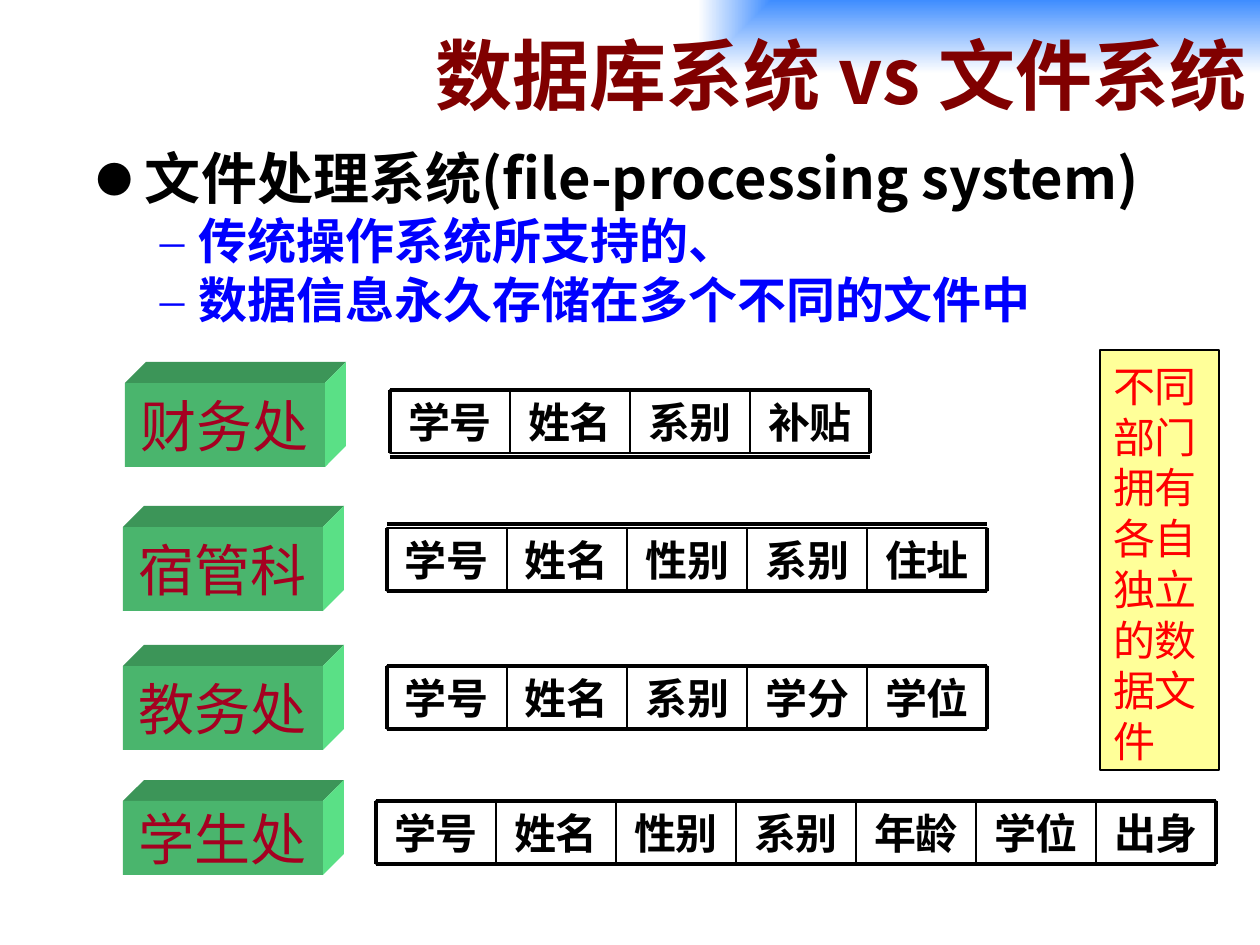
"""Build the slide that compares a database system with a file system."""
from dataclasses import dataclass

from lxml import etree
from pptx import Presentation
from pptx.dml.color import RGBColor
from pptx.enum.shapes import MSO_CONNECTOR, MSO_SHAPE
from pptx.enum.text import MSO_ANCHOR, PP_ALIGN
from pptx.oxml import parse_xml
from pptx.oxml.ns import qn
from pptx.util import Pt

RECT, STRAIGHT = MSO_SHAPE.RECTANGLE, MSO_CONNECTOR.STRAIGHT
TOP, MIDDLE = MSO_ANCHOR.TOP, MSO_ANCHOR.MIDDLE
LEFT, CENTER, RIGHT = PP_ALIGN.LEFT, PP_ALIGN.CENTER, PP_ALIGN.RIGHT


@dataclass(frozen=True)
class Theme:
    sky: str = "3F8DFF"
    white: str = "FFFFFF"
    black: str = "000000"
    maroon: str = "800000"
    blue: str = "0000FF"
    red: str = "FF0000"
    crimson: str = "A50021"
    yellow: str = "FFFF99"
    front: str = "4AB56D"
    roof: str = "3C9558"
    side: str = "5AE086"
    title: int = 44
    heading: int = 32
    point: int = 28
    label: int = 24
    sans: str = "Noto Sans CJK JP"
    serif: str = "Times New Roman"
    office: str = "Lato"
    thin: float = 0.75
    inner: float = 1
    heavy: float = 2.25


THEME = Theme()
TITLE = "数据库系统 vs 文件系统"
HEADING = "文件处理系统(file-processing system)"
POINTS = ["传统操作系统所支持的、", "数据信息永久存储在多个不同的文件中"]
NOTE = "不同部门拥有各自独立的数据文件"
OFFICES = [
    dict(name="财务处", fields="学号 姓名 系别 补贴", box=(125, 383, 200, 84),
         left=390, top=390, rules=(390, 457)),
    dict(name="宿管科", fields="学号 姓名 性别 系别 住址", box=(123, 527, 200, 84),
         left=387, top=528, rules=(524, 591)),
    dict(name="教务处", fields="学号 姓名 系别 学分 学位", box=(123, 666, 200, 84),
         left=387, top=666, rules=(666, 729)),
    dict(name="学生处", fields="学号 姓名 性别 系别 年龄 学位 出身", box=(123, 801, 200, 74),
         left=376, top=801, rules=(801, 864)),
]
CELL_WIDTH, CELL_HEIGHT, DEPTH = 120, 63, 21
INSETS = (13, 6, 13, 6)
DRAWING = "http://schemas.openxmlformats.org/drawingml/2006/main"
GRADIENT = (
    '<a:gradFill xmlns:a="{ns}" rotWithShape="1"><a:gsLst>'
    '<a:gs pos="0"><a:srgbClr val="{start}"/></a:gs>'
    '<a:gs pos="100000"><a:srgbClr val="{end}"/></a:gs></a:gsLst>'
    '<a:path path="rect"><a:fillToRect l="100000" b="100000"/></a:path></a:gradFill>'
)


def px(value):
    return round(value * 914400 / 126)


def rgb(value):
    return RGBColor.from_string(value)


def paint(shape, fill=None, line=None):
    shape.shadow.inherit = False
    if fill:
        shape.fill.solid()
        shape.fill.fore_color.rgb = rgb(fill)
    else:
        shape.fill.background()
    if line:
        shape.line.color.rgb = rgb(line)
        shape.line.width = Pt(THEME.thin)
    else:
        shape.line.fill.background()


def add_box(page, area, fill=None, line=None):
    box = page.shapes.add_shape(RECT, *map(px, area))
    paint(box, fill, line)
    return box


def set_frame(box, insets=INSETS, anchor=MIDDLE, wrap=True):
    frame = box.text_frame
    sides = ("margin_left", "margin_top", "margin_right", "margin_bottom")
    values = dict(zip(sides, map(px, insets)), vertical_anchor=anchor, word_wrap=wrap)
    for name, value in values.items():
        setattr(frame, name, value)
    return frame


def write(para, text, size, color, font, bold=False, align=LEFT):
    para.alignment = align
    span = para.add_run()
    span.text = text
    for name, value in dict(size=Pt(size), bold=bold, name=font).items():
        setattr(span.font, name, value)
    span.font.color.rgb = rgb(color)
    east = etree.SubElement(span._r.get_or_add_rPr(), qn("a:ea"))
    east.set("typeface", THEME.sans)


def add_bullet(para, char, margin, hanging, scale, font):
    props = para._p.get_or_add_pPr()
    props.set("marL", str(px(margin)))
    props.set("indent", str(-px(hanging)))
    for tag, key, value in (("a:buSzPct", "val", str(scale * 1000)),
                            ("a:buFont", "typeface", font),
                            ("a:buChar", "char", char)):
        etree.SubElement(props, qn(tag)).set(key, value)


def add_rule(page, start, end, width):
    rule = page.shapes.add_connector(STRAIGHT, *map(px, start + end))
    rule.line.color.rgb = rgb(THEME.black)
    rule.line.width = Pt(width)
    etree.SubElement(rule._element.spPr, qn("a:effectLst"))


def add_face(page, points, fill):
    corners = [(px(x), px(y)) for x, y in points]
    builder = page.shapes.build_freeform(*corners[0], scale=1.0)
    builder.add_line_segments(corners[1:], close=True)
    paint(builder.convert_to_shape(), fill)


def add_office(page, name, area):
    left, top, width, height = area
    right, bottom = left + width, top + height
    back_right, back_top = right + DEPTH, top - DEPTH
    add_face(page, [(left, top), (left + DEPTH, back_top),
                    (back_right, back_top), (right, top)], THEME.roof)
    add_face(page, [(right, top), (back_right, back_top),
                    (back_right, bottom - DEPTH), (right, bottom)], THEME.side)
    frame = set_frame(add_box(page, area, THEME.front), wrap=False)
    write(frame.paragraphs[0], name, THEME.heading, THEME.crimson, THEME.office, align=CENTER)


def add_record(page, fields, left, top, rules):
    bottom, right = top + CELL_HEIGHT, left + CELL_WIDTH * len(fields)
    for index, field in enumerate(fields):
        area = (left + index * CELL_WIDTH, top, CELL_WIDTH, CELL_HEIGHT)
        frame = set_frame(add_box(page, area, line=THEME.black), (0, 0, 0, 0))
        write(frame.paragraphs[0], field, THEME.label, THEME.black, THEME.serif, True, CENTER)
    for y in rules:
        add_rule(page, (left, y), (right, y), THEME.heavy)
    for x in range(left, right + 1, CELL_WIDTH):
        width = THEME.heavy if x in (left, right) else THEME.inner
        add_rule(page, (x, top), (x, bottom), width)


def add_title(page):
    banner = add_box(page, (136, 0, 1124, 147))
    props = banner._element.spPr
    gradient = GRADIENT.format(ns=DRAWING, start=THEME.sky, end=THEME.white)
    props.replace(props.find(qn("a:noFill")), parse_xml(gradient))
    write(set_frame(banner).paragraphs[0], TITLE, THEME.title, THEME.maroon,
          THEME.sans, True, RIGHT)


def add_body(page):
    box = page.shapes.add_textbox(*map(px, (84, 145, 1176, 228)))
    frame = set_frame(box, anchor=TOP)
    para = frame.paragraphs[0]
    add_bullet(para, "●", 48, 48, 65, THEME.sans)
    write(para, HEADING, THEME.heading, THEME.black, THEME.sans, True)
    for point in POINTS:
        para = frame.add_paragraph()
        para.level = 1
        add_bullet(para, "–", 102, 39, 100, THEME.serif)
        para.space_before = Pt(3.5)
        write(para, point, THEME.point, THEME.blue, THEME.sans, True)
    for para in frame.paragraphs:
        para.line_spacing = 0.9


def add_note(page):
    box = add_box(page, (1100, 350, 119, 420), THEME.yellow, THEME.black)
    para = set_frame(box, (13, 10, 13, 6), TOP).paragraphs[0]
    para.line_spacing = Pt(29)
    write(para, NOTE, THEME.label, THEME.red, THEME.sans)


def main():
    deck = Presentation()
    deck.slide_width, deck.slide_height = px(1260), px(945)
    page = deck.slides.add_slide(deck.slide_layouts[6])
    add_title(page)
    add_body(page)
    for office in OFFICES:
        add_record(page, office["fields"].split(), office["left"], office["top"], office["rules"])
        add_office(page, office["name"], office["box"])
    add_note(page)
    deck.save("out.pptx")


if __name__ == "__main__":
    main()
